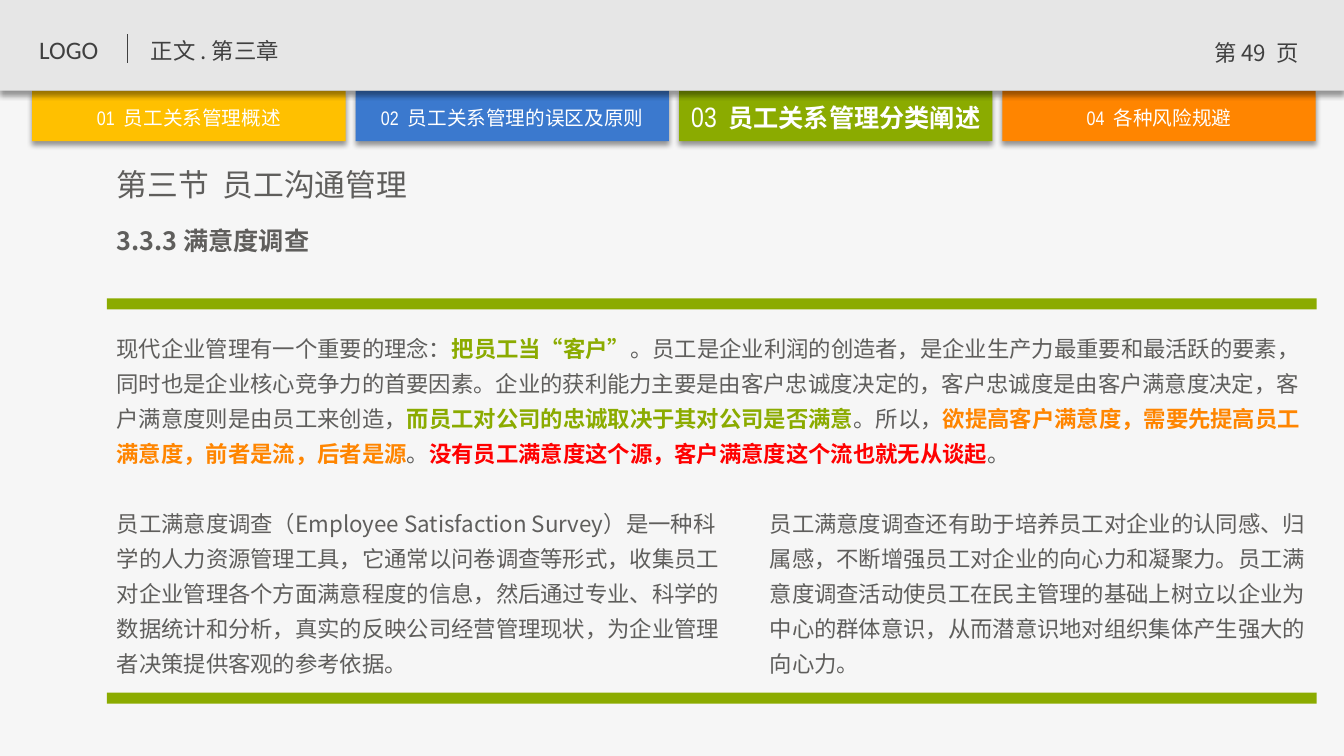
from lxml.etree import SubElement
from pptx import Presentation
from pptx.dml.color import RGBColor
from pptx.enum.shapes import MSO_CONNECTOR, MSO_SHAPE
from pptx.enum.text import MSO_ANCHOR, MSO_AUTO_SIZE, PP_ALIGN
from pptx.oxml.ns import qn
from pptx.util import Inches, Pt

# Content: a run is (text, size, colour, bold, font)
HAN, NUM = "Noto Sans CJK SC", "Arial Narrow"
HEX = {
    "page": "F6F6F6", "head": "E6E6E6", "dark": "404040", "text": "5F5E5C",
    "white": "FFFFFF", "gold": "FFC000", "blue": "3B79CE",
    "green": "8BAB00", "orange": "FF8500", "red": "FF0000",
}
TABS = [
    ("01", "员工关系管理概述", "gold"),
    ("02", "员工关系管理的误区及原则", "blue"),
    ("03", "员工关系管理分类阐述", "green"),
    ("04", "各种风险规避", "orange"),
]
NOW = "03"
LOGO = [("LOGO", 18, "dark", False, "Calibri")]
PART = [("正文 . 第三章", 16, "dark", False, HAN)]
PAGE = [("第 49  页", 16, "dark", False, HAN)]
TITLE = [("第三节  员工沟通管理", 22, "text", False, HAN)]
TOPIC = [("3.3.3 满意度调查", 18, "text", True, HAN)]
IDEA = [
    ("现代企业管理有一个重要的理念：", "text"),
    ("把员工当“客户”", "green"),
    ("。员工是企业利润的创造者，是企业生产力最重要和最活跃的要素，"
     "同时也是企业核心竞争力的首要因素。企业的获利能力主要是由客户忠诚度决定的，"
     "客户忠诚度是由客户满意度决定，客户满意度则是由员工来创造，", "text"),
    ("而员工对公司的忠诚取决于其对公司是否满意", "green"),
    ("。所以，", "text"),
    ("欲提高客户满意度，需要先提高员工满意度，前者是流，后者是源", "orange"),
    ("。", "text"),
    ("没有员工满意度这个源，客户满意度这个流也就无从谈起", "red"),
    ("。", "text"),
]
COLS = [
    "员工满意度调查（Employee Satisfaction Survey）是一种科学的人力资源管理工具，"
    "它通常以问卷调查等形式，收集员工对企业管理各个方面满意程度的信息，"
    "然后通过专业、科学的数据统计和分析，真实的反映公司经营管理现状，"
    "为企业管理者决策提供客观的参考依据。",
    "员工满意度调查还有助于培养员工对企业的认同感、归属感，"
    "不断增强员工对企业的向心力和凝聚力。员工满意度调查活动使员工在民主管理的基础上"
    "树立以企业为中心的群体意识，从而潜意识地对组织集体产生强大的向心力。",
]

# Grid, in inches
WIDE, HIGH = 13.34, 7.5
HEAD = 0.9
EDGE, GAP, TAB_H = 0.32, 0.1, 0.5
TAB_W = (WIDE - 0.6 - 3 * GAP) / 4
LEFT, RIGHT = 1.06, 13.07
SPAN = RIGHT - LEFT
COL_X, COL_W, COL_Y = (LEFT, 7.54), (6.32, 5.53), 4.93
RULES, RULE_H = (2.96, 6.87), 0.11

deck = Presentation()
deck.slide_width, deck.slide_height = Inches(WIDE), Inches(HIGH)
slide = deck.slides.add_slide(deck.slide_layouts[3])
slide.background.fill.solid()
slide.background.fill.fore_color.rgb = RGBColor.from_string(HEX["page"])


def place(shape, box):
    shape.left, shape.top, shape.width, shape.height = map(Inches, box)


def bar(box, hue, shade=False):
    shape = slide.shapes.add_shape(MSO_SHAPE.RECTANGLE, *map(Inches, box))
    shape.shadow.inherit = False
    shape.fill.solid()
    shape.fill.fore_color.rgb = RGBColor.from_string(HEX[hue])
    shape.line.fill.background()
    if shade:
        glow = SubElement(
            shape._element.spPr.find(qn("a:effectLst")), qn("a:outerShdw"),
            blurRad=str(Pt(4)), dist=str(Pt(3)), dir="5400000",
            algn="t", rotWithShape="0")
        tint = SubElement(glow, qn("a:srgbClr"), val="000000")
        SubElement(tint, qn("a:alpha"), val="40000")


def write(box, runs, hold=None, align=PP_ALIGN.LEFT, mid=False, lead=1.0):
    shape = hold or slide.shapes.add_textbox(0, 0, 0, 0)
    place(shape, box)
    frame = shape.text_frame
    frame.word_wrap = True
    frame.auto_size = MSO_AUTO_SIZE.NONE
    frame.vertical_anchor = MSO_ANCHOR.MIDDLE if mid else MSO_ANCHOR.TOP
    if mid:
        frame.margin_left = frame.margin_right = 0
        frame.margin_top = frame.margin_bottom = 0
    para = frame.paragraphs[0]
    if hold:
        props = para._p.get_or_add_pPr()
        props.set("marL", "0")
        props.set("indent", "0")
        SubElement(props, qn("a:buNone"))
    para.alignment = align
    para.line_spacing = lead
    para.space_before = Pt(0)
    for text, size, hue, bold, face in runs:
        run = para.add_run()
        run.text = text
        font = run.font
        font.size, font.bold, font.name = Pt(size), bold, face
        font.color.rgb = RGBColor.from_string(HEX[hue])
        SubElement(run._r.get_or_add_rPr(), qn("a:ea"), typeface=face)


# Chapter tabs, then the header that casts its shadow on them
spots = [EDGE + i * (TAB_W + GAP) for i in range(len(TABS))]
for x, (num, name, hue) in zip(spots, TABS):
    bar((x, HEAD, TAB_W, TAB_H), hue, shade=True)
bar((0, 0, WIDE, HEAD), "head", shade=True)

# Header line
write((0.29, 0.29, 0.98, 0.4), LOGO)
write((1.4, 0.32, 3.27, 0.37), PART)
write((11.87, 0.34, 1.2, 0.4), PAGE, align=PP_ALIGN.CENTER)
mark = slide.shapes.add_connector(
    MSO_CONNECTOR.STRAIGHT, *map(Inches, (1.27, 0.34, 1.27, 0.63)))
mark.line.color.rgb = RGBColor.from_string(HEX["dark"])
mark.line.width = Pt(0.75)
SubElement(mark._element.spPr, qn("a:effectLst"))

# Tab labels
for x, (num, name, hue) in zip(spots, TABS):
    on = num == NOW
    size, tall = (18, 0.34) if on else (14, 0.24)
    label = [(num, 20 if on else size, "white", False, NUM),
             ("  ", size, "white", False, NUM),
             (name, size, "white", on, HAN)]
    y = 0.98 if on else 1.05
    write((x, y, TAB_W, tall), label, align=PP_ALIGN.CENTER, mid=True)

# Section title and topic
title, *bodies = slide.placeholders
write((LEFT, 1.59, 5.44, 0.47), TITLE, hold=title)
write((LEFT, 2.1, 5.77, 0.49), TOPIC, lead=1.3)

# Main idea and the two columns, between two rules
idea = [(text, 16, hue, hue != "text", HAN) for text, hue in IDEA]
write((LEFT, 3.2, SPAN, 1.5), idea, lead=1.3)
for hold, x, wide, text in zip(bodies, COL_X, COL_W, COLS):
    write((x, COL_Y, wide, 1.85), [(text, 16, "text", False, HAN)],
          hold=hold, lead=1.3)
for y in RULES:
    bar((LEFT, y, SPAN, RULE_H), "green")

deck.save("out.pptx")
